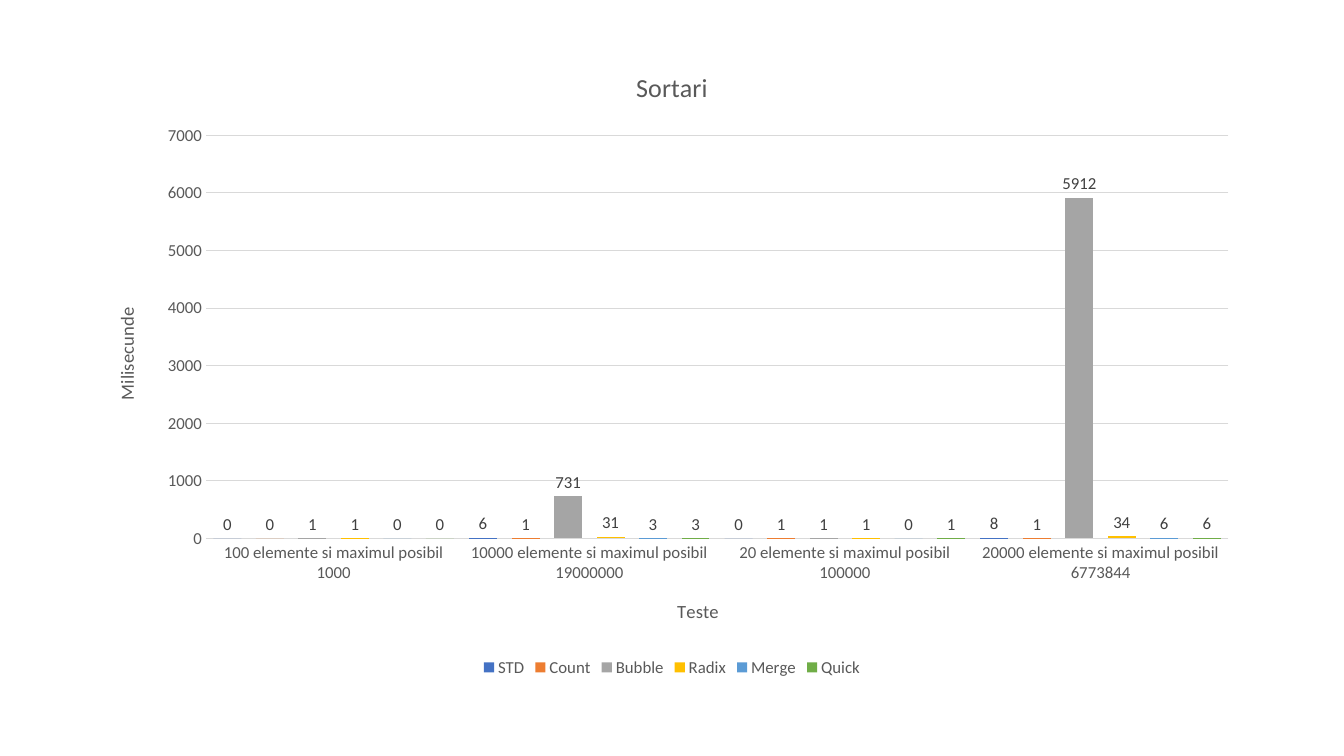
from dataclasses import dataclass
from typing import Any

from pptx import Presentation
from pptx.chart.data import CategoryChartData as Data
from pptx.dml.color import RGBColor as Rgb
from pptx.enum.chart import XL_CHART_TYPE as Kind
from pptx.enum.chart import XL_LABEL_POSITION as Spot
from pptx.enum.chart import XL_LEGEND_POSITION as Side
from pptx.enum.chart import XL_TICK_MARK as Tick
from pptx.util import Cm, Pt

GREY = Rgb(0x59, 0x59, 0x59)
DARK = Rgb(0x40, 0x40, 0x40)
PALE = Rgb(0xD9, 0xD9, 0xD9)
BLUE = Rgb(0x44, 0x72, 0xC4)
RUST = Rgb(0xED, 0x7D, 0x31)
ASH = Rgb(0xA5, 0xA5, 0xA5)
GOLD = Rgb(0xFF, 0xC0, 0x00)
SKY = Rgb(0x5B, 0x9B, 0xD5)
GREEN = Rgb(0x70, 0xAD, 0x47)


@dataclass
class Sort:
    """Timings of one sorting method."""

    name: str
    times: tuple[int, ...]
    color: Rgb


TESTS = [
    "100 elemente si maximul posibil 1000",
    "10000 elemente si maximul posibil 19000000",
    "20 elemente si maximul posibil 100000",
    "20000 elemente si maximul posibil 6773844",
]
SORTS = [
    Sort("STD", (0, 6, 0, 8), BLUE),
    Sort("Count", (0, 1, 1, 1), RUST),
    Sort("Bubble", (1, 731, 1, 5912), ASH),
    Sort("Radix", (1, 31, 1, 34), GOLD),
    Sort("Merge", (0, 3, 0, 6), SKY),
    Sort("Quick", (0, 3, 1, 6), GREEN),
]


def apply(item: Any, **values: Any) -> None:
    """Set each named attribute of an item."""
    for key, value in values.items():
        setattr(item, key, value)


def style(font: Any, size: float, color: Rgb = GREY) -> None:
    """Format a font in the chart's typeface."""
    apply(font, name="Calibri", size=Pt(size), bold=False)
    font.color.rgb = color


def head(title: Any, text: str, size: float) -> None:
    """Write a chart or axis title."""
    title.text_frame.text = text
    style(title.text_frame.paragraphs[0].runs[0].font, size)


def rule(line: Any) -> None:
    """Draw a thin pale line."""
    line.color.rgb = PALE
    line.width = Pt(0.75)


def dress(axis: Any, text: str) -> None:
    """Format an axis and its title."""
    apply(axis, major_tick_mark=Tick.NONE, minor_tick_mark=Tick.NONE)
    style(axis.tick_labels.font, 12)
    head(axis.axis_title, text, 13.3)


def paint(bars: Any, sort: Sort) -> None:
    """Colour and label the bars of one method."""
    bars.format.fill.solid()
    bars.format.fill.fore_color.rgb = sort.color
    bars.invert_if_negative = False
    apply(bars.data_labels, show_value=True, position=Spot.OUTSIDE_END)
    style(bars.data_labels.font, 12, DARK)


def build() -> None:
    """Build and save the slide."""
    deck = Presentation()
    apply(deck, slide_width=Cm(33.87), slide_height=Cm(19.05))
    slide = deck.slides.add_slide(deck.slide_layouts[6])
    data = Data(number_format="General")
    data.categories = TESTS
    for sort in SORTS:
        data.add_series(sort.name, sort.times)
    chart = slide.shapes.add_chart(
        Kind.COLUMN_CLUSTERED, Cm(2.33), Cm(1.17), Cm(29.21), Cm(16), data
    ).chart
    style(chart.font, 10)
    head(chart.chart_title, "Sortari", 18.6)
    chart.has_legend = True
    apply(chart.legend, position=Side.BOTTOM, include_in_layout=False)
    style(chart.legend.font, 12)

    dress(chart.category_axis, "Teste")
    rule(chart.category_axis.format.line)
    scale = chart.value_axis
    dress(scale, "Milisecunde")
    apply(scale, minimum_scale=0, maximum_scale=7000, major_unit=1000)
    scale.format.line.fill.background()
    rule(scale.major_gridlines.format.line)

    plot = chart.plots[0]
    apply(plot, gap_width=54, overlap=-52, vary_by_categories=False)
    for bars, sort in zip(plot.series, SORTS):
        paint(bars, sort)
    deck.save("out.pptx")


build()
